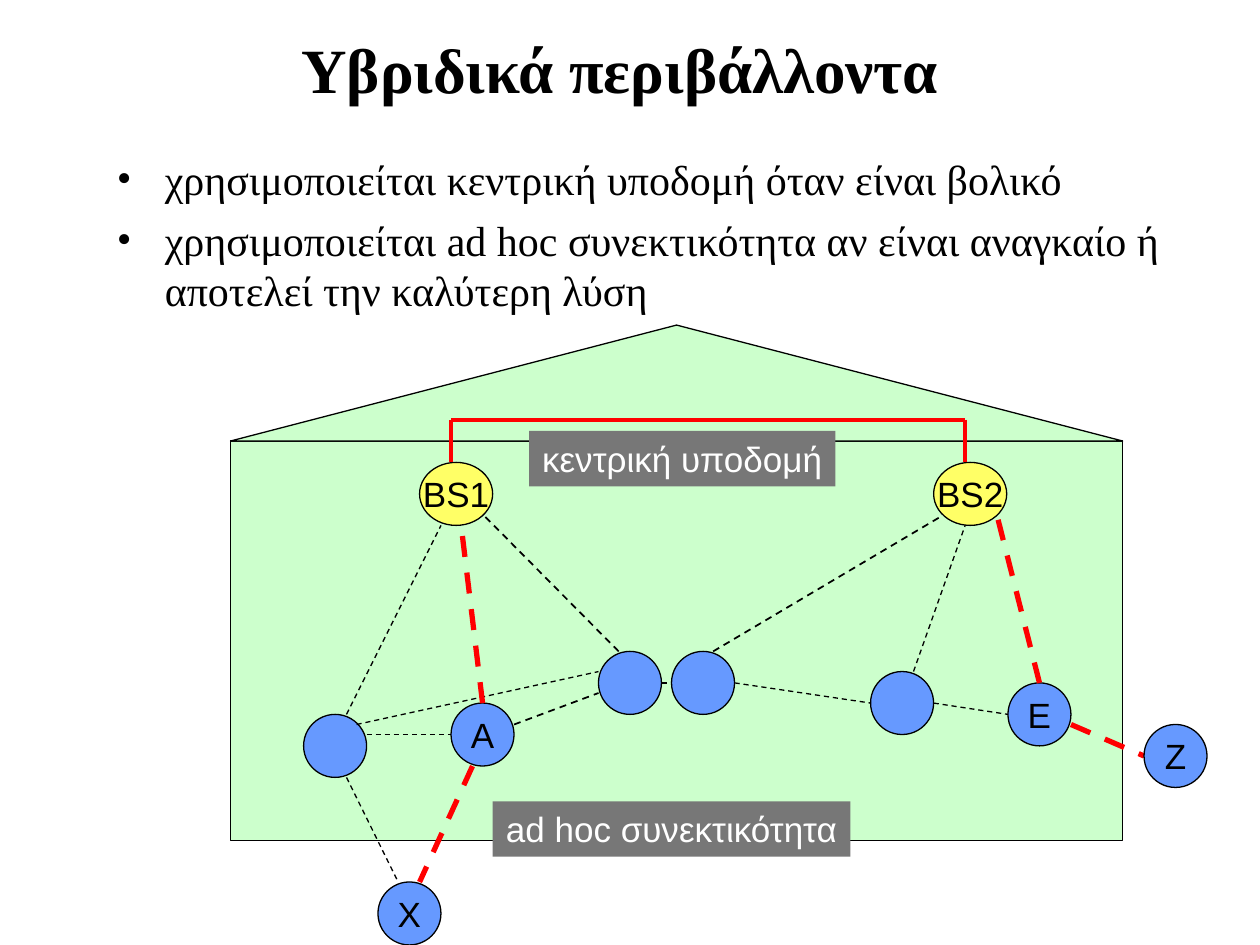
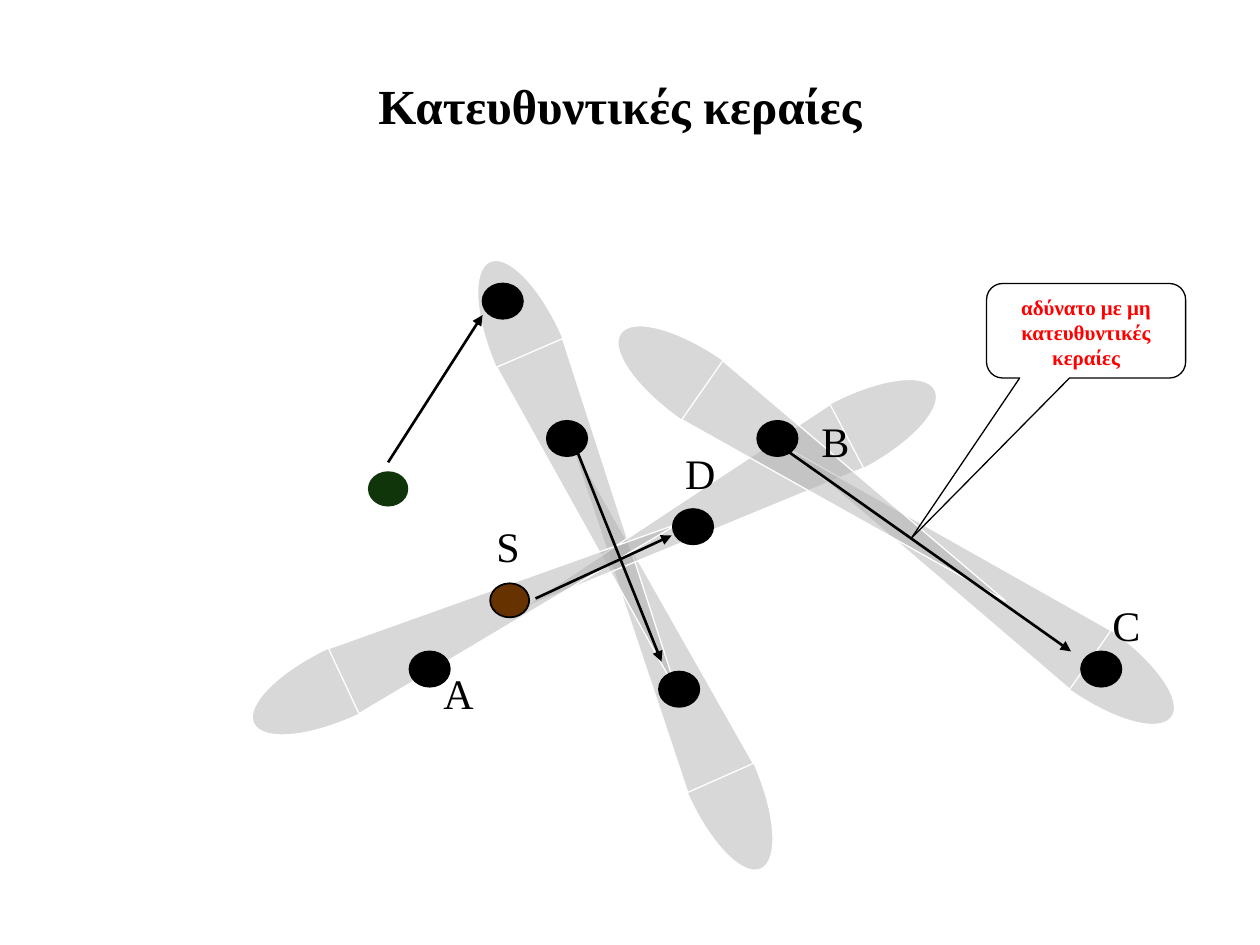
"""Build two slides on hybrid networks and directional antennas."""
import math

import lxml.etree
import pptx
import pptx.dml.color
import pptx.enum.dml
import pptx.enum.shapes
import pptx.enum.text
import pptx.oxml.ns
import pptx.util

Inches = pptx.util.Inches
Pt = pptx.util.Pt
SHAPE = pptx.enum.shapes.MSO_SHAPE
ALIGN = pptx.enum.text.PP_ALIGN
ANCHOR = pptx.enum.text.MSO_ANCHOR
SERIF, SANS = "Times New Roman", "Arial"
BLACK, WHITE, RED = "000000", "FFFFFF", "FF0000"
GREEN, BLUE, YELLOW, GREY, BEAM = "CCFFCC", "6699FF", "FFFF66", "777777", "B2B2B2"


def paint(color, code):
    """Give a colour format its hex value."""
    color.rgb = pptx.dml.color.RGBColor.from_string(code)


def child(parent, tag, **attrs):
    """Add a drawing element under a parent."""
    return lxml.etree.SubElement(parent, pptx.oxml.ns.qn(tag), **attrs)


def style(shape, fill, line, width=0.75):
    """Set fill and outline, either of which may be None."""
    shape.shadow.inherit = False
    if fill:
        shape.fill.solid()
        paint(shape.fill.fore_color, fill)
    else:
        shape.fill.background()
    if line:
        paint(shape.line.color, line)
        shape.line.width = Pt(width)
    else:
        shape.line.fill.background()


def write(shape, text, size, font, code=BLACK, bold=False, align=ALIGN.CENTER,
          anchor=ANCHOR.MIDDLE, wrap=False, bullet=False):
    """Put formatted text in a shape, one paragraph a line."""
    frame = shape.text_frame
    frame.text = text
    frame.word_wrap = wrap
    frame.auto_size = pptx.enum.text.MSO_AUTO_SIZE.NONE
    frame.vertical_anchor = anchor
    for count, para in enumerate(frame.paragraphs):
        para.alignment = align
        if bullet:
            para.space_before = Pt(6 if count else 0)
            mark(para._p.get_or_add_pPr(), font)
        para.font.size, para.font.name, para.font.bold = Pt(size), font, bold
        paint(para.font.color, code)


def mark(props, font):
    """Give a paragraph a hanging bullet."""
    props.set("marL", str(Inches(0.38)))
    props.set("indent", str(-Inches(0.38)))
    child(child(props, "a:buClr"), "a:srgbClr", val=BLACK)
    child(props, "a:buFont", typeface=font)
    child(props, "a:buChar", char="•")


class Pane:
    """A region of a slide whose parts are placed from its corner."""

    def __init__(self, slide, left, top):
        """Keep the shapes of the slide and the corner."""
        self.shapes, self.left, self.top = slide.shapes, left, top

    def spot(self, x, y):
        """Return a point of the region in slide lengths."""
        return Inches(self.left + x), Inches(self.top + y)

    def add(self, kind, x, y, width, height, fill, line=BLACK, weight=0.75):
        """Add a preset shape."""
        shape = self.shapes.add_shape(kind, *self.spot(x, y), Inches(width), Inches(height))
        style(shape, fill, line, weight)
        return shape

    def link(self, start, end, code=BLACK, weight=0.75, dash=False, arrow=False):
        """Add a straight line between two points."""
        kind = pptx.enum.shapes.MSO_CONNECTOR.STRAIGHT
        line = self.shapes.add_connector(kind, *self.spot(*start), *self.spot(*end))
        paint(line.line.color, code)
        line.line.width = Pt(weight)
        if dash:
            line.line.dash_style = pptx.enum.dml.MSO_LINE.DASH
        if arrow:
            child(line.line._get_or_add_ln(), "a:tailEnd", type="triangle")
        child(line._element.spPr, "a:effectLst")

    def label(self, text, x, y, width):
        """Add a plain letter beside a node."""
        box = self.shapes.add_textbox(*self.spot(x, y), Inches(width), Inches(0.5))
        write(box, text, 24, SERIF, align=ALIGN.LEFT, anchor=ANCHOR.TOP)


def start(deck, text, height, size):
    """Add a slide with a formatted title."""
    slide = deck.slides.add_slide(deck.slide_layouts[5])
    title = slide.shapes.title
    title.left, title.top = Inches(0.67), Inches(0.21)
    title.width, title.height = Inches(8.5), Inches(height)
    write(title, text, size, SERIF, bold=True, wrap=True)
    return slide


def list_points(slide, box, points):
    """Write bulleted points in a box."""
    area = slide.shapes.add_textbox(*map(Inches, box))
    write(area, "\n".join(points), 24, SERIF, align=ALIGN.LEFT,
          anchor=ANCHOR.TOP, wrap=True, bullet=True)


def draw_nodes(pane, nodes, width, fill):
    """Draw a group of round nodes with their names."""
    for name, x, y in nodes:
        node = pane.add(SHAPE.OVAL, x, y, width, 0.5, fill)
        if name:
            write(node, name, 20, SANS)


def draw_house(slide, left, top):
    """Draw the building with its base stations and mobile nodes."""
    pane = Pane(slide, left, top)
    pane.add(SHAPE.RECTANGLE, 0, 0.92, 7.08, 3.17, GREEN)
    draw_nodes(pane, [("", 0.58, 3.09), ("E", 6.17, 2.84), ("A", 1.75, 3),
                      ("", 2.92, 2.59), ("", 3.5, 2.59), ("", 5.08, 2.75)], 0.5, BLUE)
    thin = [((0.92, 3.09), (1.67, 1.59)), ((5.42, 2.75), (5.83, 1.59)),
            ((1.08, 3.25), (1.75, 3.25)), ((3.42, 2.84), (3.5, 2.84)),
            ((4, 2.84), (5.08, 3)), ((5.58, 3), (6.17, 3.09)),
            ((1, 3.17), (2.92, 2.75)), ((0.92, 3.59), (1.33, 4.42))]
    firm = [((3.08, 2.59), (2, 1.5)), ((3.83, 2.59), (5.67, 1.5)),
            ((2.25, 3.17), (2.92, 2.92))]
    route = [((2, 3), (1.83, 1.59)), ((6.42, 2.84), (6.08, 1.5)),
             ((1.92, 3.5), (1.5, 4.42)), ((6.67, 3.17), (7.25, 3.42))]
    for links, code, weight in ((thin, BLACK, 0.75), (firm, BLACK, 1), (route, RED, 3)):
        for first, last in links:
            pane.link(first, last, code, weight, dash=True)
    draw_nodes(pane, [("BS1", 1.5, 1.09), ("BS2", 5.58, 1.09)], 0.58, YELLOW)
    draw_nodes(pane, [("X", 1.17, 4.42), ("Z", 7.25, 3.17)], 0.5, BLUE)
    pane.add(SHAPE.ISOSCELES_TRIANGLE, 0, 0, 7.08, 0.92, GREEN)
    wire = [(1.75, 1.09), (1.75, 0.75), (5.83, 0.75), (5.83, 1.09)]
    for first, last in zip(wire, wire[1:]):
        pane.link(first, last, RED, 2.25)
    for text, x, y, width in (("κεντρική υποδομή", 2.37, 0.84, 2.43),
                              ("ad hoc συνεκτικότητα", 2.08, 3.78, 2.84)):
        tag = pane.add(SHAPE.RECTANGLE, x, y, width, 0.44, GREY, None)
        write(tag, text, 20, SANS, WHITE, anchor=ANCHOR.TOP)


def fade(shape):
    """Make the fill of a shape half clear."""
    color = shape._element.spPr.find(".//" + pptx.oxml.ns.qn("a:srgbClr"))
    child(color, "a:alpha", val="50000")


def bend(lobe):
    """Turn the two straight sides of a lobe into quarter curves."""
    wide, high = lobe.width, lobe.height
    curves = [((0.55, 0), (1, 0.22), (1, 0.5)), ((1, 0.78), (0.55, 1), (0, 1))]
    route = lobe._element.spPr.find(".//" + pptx.oxml.ns.qn("a:path"))
    for side, curve in zip(route.findall(pptx.oxml.ns.qn("a:lnTo")), curves):
        arc = child(route, "a:cubicBezTo")
        for x, y in curve:
            child(arc, "a:pt", x=str(round(x * wide)), y=str(round(y * high)))
        route.replace(side, arc)


def draw_beam(pane, x, y, angle):
    """Draw a triangle turned by an angle, with a round lobe on its base."""
    width, height, reach, depth = 0.57, 2.93, 0.79, 0.58
    turn = math.radians(angle)
    away = (height + reach) / 2
    left = x + (width - reach) / 2 - away * math.sin(turn)
    top = y + (height - depth) / 2 + away * math.cos(turn)
    maker = pane.shapes.build_freeform(*pane.spot(left, top))
    maker.add_line_segments([pane.spot(left + reach, top + depth / 2),
                             pane.spot(left, top + depth)], close=False)
    lobe = maker.convert_to_shape()
    bend(lobe)
    lobe.rotation = (angle + 90) % 360
    cone = pane.add(SHAPE.ISOSCELES_TRIANGLE, x, y, width, height, BEAM, WHITE)
    cone.adjustments[0] = 0.49
    cone.rotation = angle
    style(lobe, BEAM, WHITE)
    fade(lobe)
    fade(cone)


def draw_field(slide, left, top):
    """Draw the beams, nodes, arrows, letters and callout."""
    pane = Pane(slide, left, top)
    for x, y, angle in ((2.84, 1.37, 336.1), (2.5, 0.68, 156.6), (3.14, 0.68, 242.2),
                        (1.77, 1.32, 64.9), (5.17, 0.93, 305.1), (4.49, 0.47, 124.9)):
        draw_beam(pane, x, y, angle)
    pane.add(SHAPE.OVAL, 0.92, 1.74, 0.32, 0.28, "11350B", None)
    pane.add(SHAPE.OVAL, 1.89, 2.63, 0.31, 0.27, "663300", BLACK, 1)
    for x, y in ((3.34, 2.04), (1.83, 0.25), (1.25, 3.17), (2.34, 1.34),
                 (3.23, 3.33), (6.58, 3.17), (4.01, 1.34)):
        pane.add(SHAPE.OVAL, x, y, 0.32, 0.28, BLACK, BLACK, 1)
    for first, last in (((2.25, 2.75), (3.33, 2.25)), ((2.58, 1.58), (3.25, 3.25)),
                        ((4.25, 1.58), (6.5, 3.17)), ((1.08, 1.67), (1.83, 0.5))):
        pane.link(first, last, weight=1.5, arrow=True)
    note = pane.add(SHAPE.ROUNDED_RECTANGULAR_CALLOUT, 5.83, 0.25, 1.58, 0.75, None)
    for index, value in enumerate((-0.88, 2.2, 0.17)):
        note.adjustments[index] = value
    write(note, "αδύνατο με μη κατευθυντικές κεραίες", 12, SERIF, RED, bold=True,
          anchor=ANCHOR.TOP, wrap=True)
    for name, x, y, width in (("S", 1.84, 2.08, 0.38), ("D", 3.34, 1.5, 0.44),
                              ("A", 1.42, 3.25, 0.44), ("B", 4.42, 1.25, 0.42),
                              ("C", 6.73, 2.71, 0.42)):
        pane.label(name, x, y, width)


def main():
    """Build and save the deck."""
    deck = pptx.Presentation()
    deck.slide_width, deck.slide_height = Inches(10), Inches(7.5)
    hybrid = start(deck, "Υβριδικά περιβάλλοντα", 0.67, 36)
    list_points(hybrid, (0.83, 1.17, 8.5, 5), (
        "χρησιμοποιείται κεντρική υποδομή όταν είναι βολικό",
        "χρησιμοποιείται ad hoc συνεκτικότητα αν είναι αναγκαίο ή αποτελεί την καλύτερη λύση"))
    draw_house(hybrid, 1.83, 2.58)
    aimed = start(deck, "Κατευθυντικές κεραίες", 1.25, 28)
    draw_field(aimed, 2, 2)
    deck.save("out.pptx")


if __name__ == "__main__":
    main()
